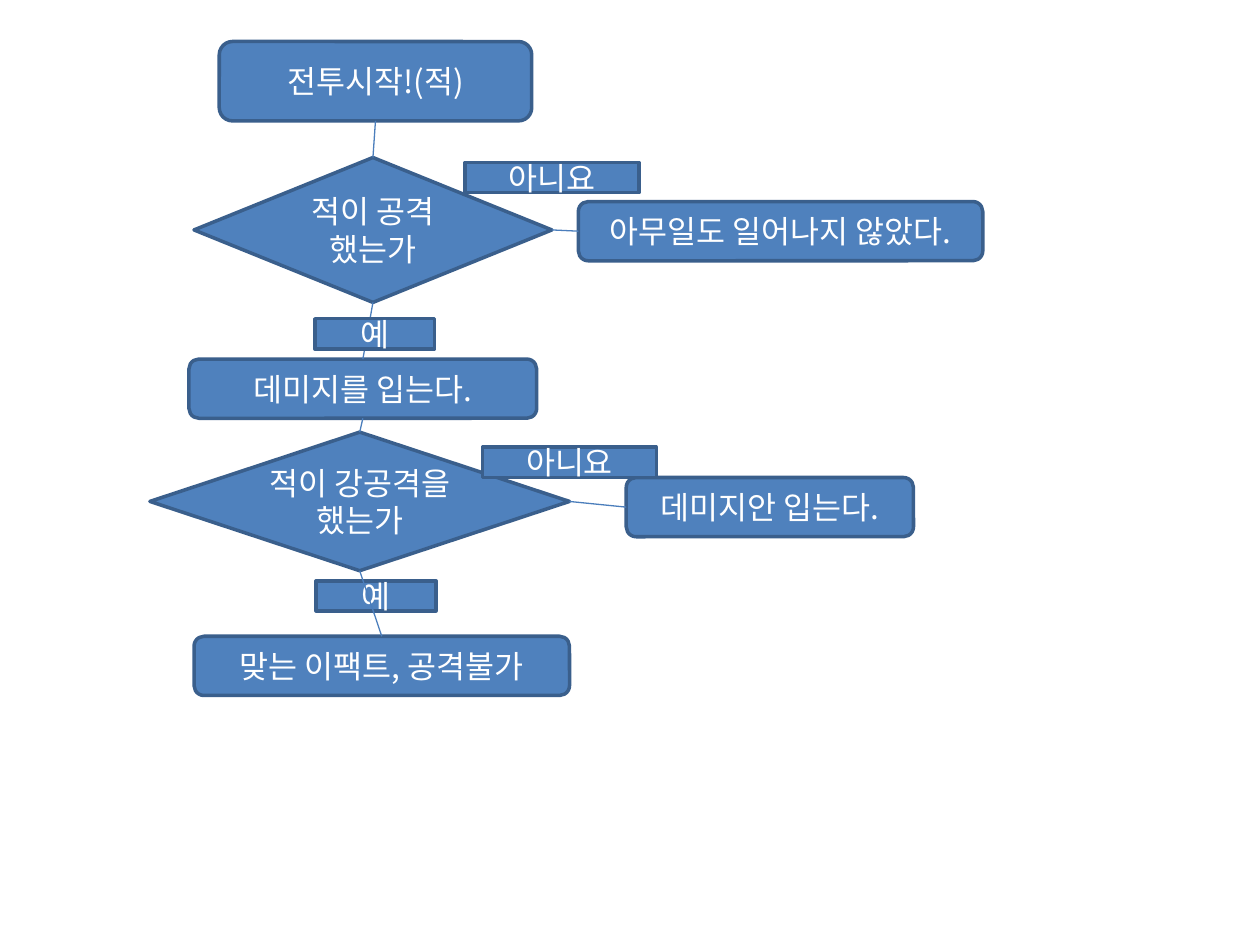
from dataclasses import dataclass

from lxml import etree
from pptx import Presentation
from pptx.dml.color import RGBColor
from pptx.enum.shapes import MSO_CONNECTOR, MSO_SHAPE
from pptx.enum.text import MSO_ANCHOR, PP_ALIGN
from pptx.oxml.ns import qn
from pptx.util import Inches, Pt

TOP, LEFT, BOTTOM, RIGHT = range(4)  # connection sites


@dataclass(frozen=True)
class Theme:
    fill: RGBColor = RGBColor(0x4F, 0x81, 0xBD)
    outline: RGBColor = RGBColor(0x3A, 0x5F, 0x8C)
    link: RGBColor = RGBColor(0x4B, 0x7E, 0xBC)
    text: RGBColor = RGBColor(0xFF, 0xFF, 0xFF)
    font: str = "Noto Sans CJK KR"
    size: float = 18
    outline_width: float = 2
    link_width: float = 0.75


class Flowchart:
    def __init__(self, slide, theme):
        self.slide = slide
        self.theme = theme

    def node(self, kind, text, left, top, width, height):
        theme = self.theme
        shape = self.slide.shapes.add_shape(
            kind, Inches(left), Inches(top), Inches(width), Inches(height))
        shape.shadow.inherit = False
        shape.fill.solid()
        shape.fill.fore_color.rgb = theme.fill
        shape.line.color.rgb = theme.outline
        shape.line.width = Pt(theme.outline_width)
        frame = shape.text_frame
        frame.word_wrap = True
        frame.vertical_anchor = MSO_ANCHOR.MIDDLE
        paragraph = frame.paragraphs[0]
        paragraph.alignment = PP_ALIGN.CENTER
        run = paragraph.add_run()
        run.text = text
        run.font.size = Pt(theme.size)
        run.font.name = theme.font
        run.font.color.rgb = theme.text
        east_asian = etree.SubElement(run.font._element, qn("a:ea"))
        east_asian.set("typeface", theme.font)
        return shape

    def step(self, text, left, top, width, height=0.47):
        return self.node(MSO_SHAPE.ROUNDED_RECTANGLE, text, left, top, width, height)

    def decision(self, text, left, top, width, height):
        return self.node(MSO_SHAPE.FLOWCHART_DECISION, text, left, top, width, height)

    def yes(self, left, top):
        return self.node(MSO_SHAPE.RECTANGLE, "예", left, top, 0.95, 0.24)

    def no(self, left, top):
        return self.node(MSO_SHAPE.RECTANGLE, "아니요", left, top, 1.38, 0.24)

    def link(self, source, source_site, target, target_site):
        line = self.slide.shapes.add_connector(MSO_CONNECTOR.STRAIGHT, 0, 0, 0, 0)
        line.begin_connect(source, source_site)
        line.end_connect(target, target_site)
        line.line.color.rgb = self.theme.link
        line.line.width = Pt(self.theme.link_width)
        etree.SubElement(line._element.spPr, qn("a:effectLst"))


prs = Presentation()
prs.slide_width, prs.slide_height = Inches(10), Inches(7.5)
chart = Flowchart(prs.slides.add_slide(prs.slide_layouts[6]), Theme())

# First question: did the enemy attack?
start = chart.step("전투시작!(적)", 1.74, 0.33, 2.48, 0.63)
nothing = chart.step("아무일도 일어나지 않았다.", 4.59, 1.6, 3.21)
damage = chart.step("데미지를 입는다.", 1.5, 2.85, 2.76)
chart.no(3.69, 1.29)
attacked = chart.decision("적이 공격 했는가", 1.54, 1.25, 2.84, 1.15)
chart.link(start, BOTTOM, attacked, TOP)
chart.link(attacked, RIGHT, nothing, LEFT)
chart.link(attacked, BOTTOM, damage, TOP)
chart.yes(2.5, 2.53)

# Second question: was it a strong attack?
strong = chart.decision("적이 강공격을 했는가", 1.19, 3.43, 3.33, 1.1)
only_damage = chart.step("데미지안 입는다.", 4.97, 3.79, 2.28)
effect = chart.step("맞는 이팩트, 공격불가", 1.54, 5.05, 2.98)
chart.no(3.83, 3.55)
chart.yes(2.51, 4.61)
chart.link(damage, BOTTOM, strong, TOP)
chart.link(strong, RIGHT, only_damage, LEFT)
chart.link(strong, BOTTOM, effect, TOP)

prs.save("out.pptx")
